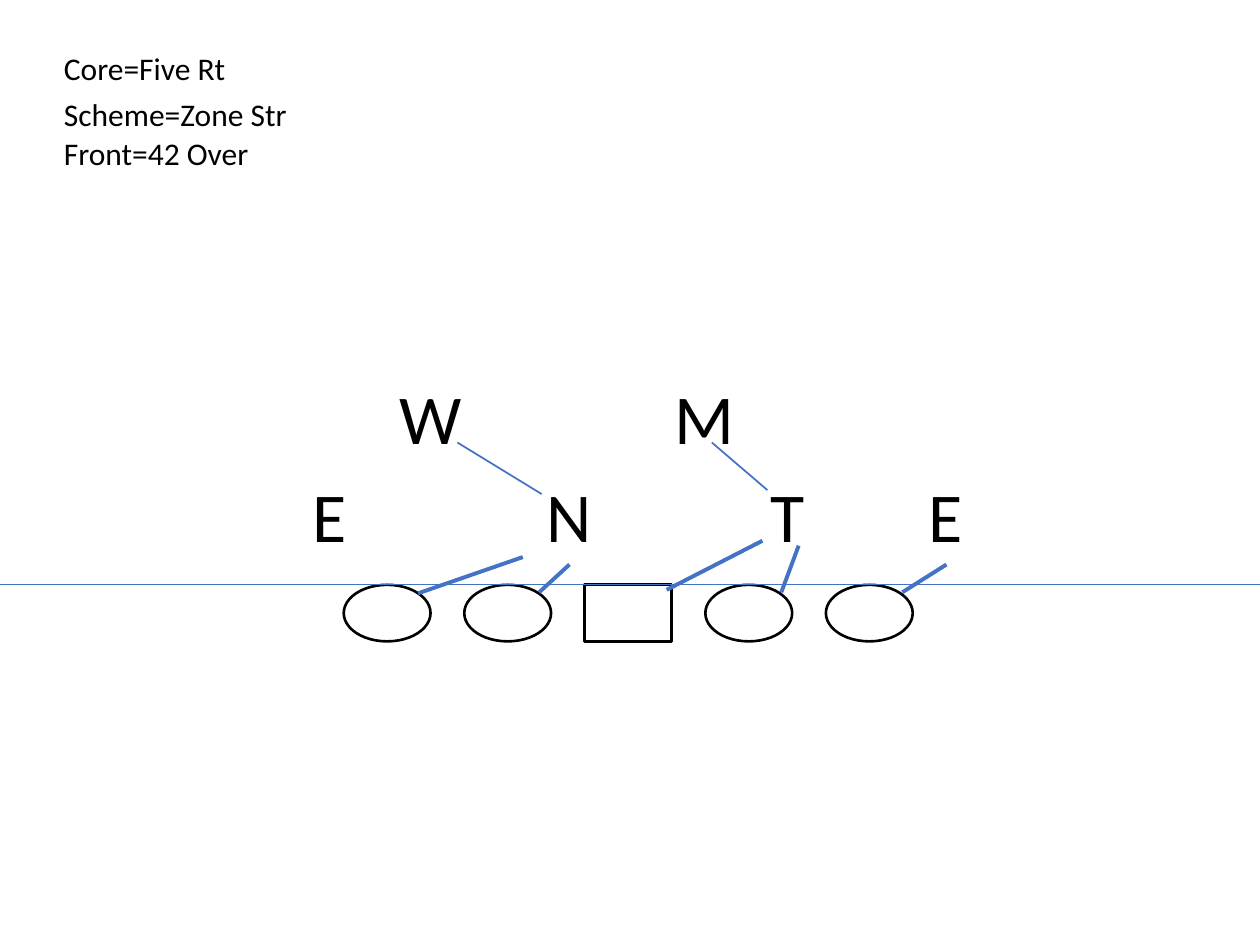
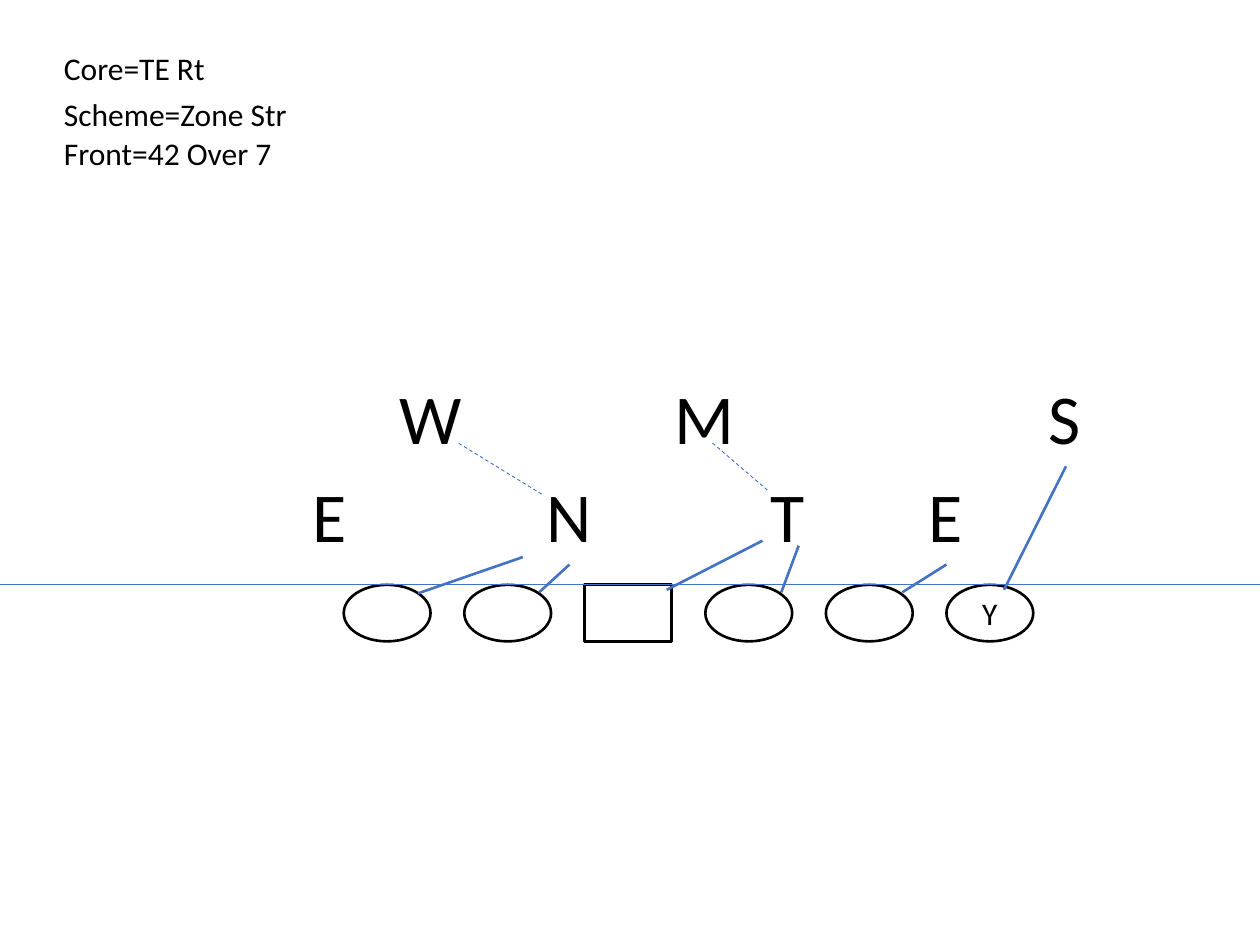
from dataclasses import dataclass

from lxml.etree import SubElement
from pptx import Presentation
from pptx.dml.color import RGBColor
from pptx.enum.dml import MSO_LINE
from pptx.enum.shapes import MSO_CONNECTOR, MSO_SHAPE
from pptx.enum.text import MSO_ANCHOR, MSO_AUTO_SIZE, PP_ALIGN
from pptx.oxml.ns import qn
from pptx.slide import Slide
from pptx.text.text import TextFrame
from pptx.util import Cm, Pt

COLOURS = {"ink": "000000", "paper": "FFFFFF", "path": "4472C4"}
FONT = "Calibri"
CAPTION_SIZE, DEFENDER_SIZE = 18, 40
SLIDE_WIDTH, SLIDE_HEIGHT = 25.4, 19.05

SCRIMMAGE_Y = 11.79
LINEMAN_WIDTH, LINEMAN_HEIGHT = 1.75, 1.14
LINEMAN_LEFT, LINEMAN_PITCH = 6.93, 2.43
CENTER_SPOT, TIGHT_END_SPOT = 2, 5
LINEBACKER_TOP, FRONT_TOP = 7.42, 9.4
CAPTION_TOPS = (0.86, 1.8, 2.57)


@dataclass(frozen=True)
class Caption:
    """One line of the play description and its box width in cm."""
    text: str
    width: float


@dataclass(frozen=True)
class Defender:
    """A defender's letter and the box that holds it, in cm."""
    letter: str
    left: float
    top: float
    width: float = 1.22


@dataclass(frozen=True)
class Route:
    """A straight assignment line between two points, in cm."""
    start: tuple[float, float]
    end: tuple[float, float]


@dataclass(frozen=True)
class Play:
    """Everything that differs from one play to the next."""
    captions: tuple[Caption, ...]
    block_weight: float
    read_weight: float
    read_dash: MSO_LINE | None = None
    tight_end: bool = False


DEFENDERS = (
    Defender("N", 10.77, FRONT_TOP, 1.42),
    Defender("T", 15.29, FRONT_TOP),
    Defender("E", 18.47, FRONT_TOP),
    Defender("E", 6.05, FRONT_TOP),
    Defender("W", 7.8, LINEBACKER_TOP, 1.78),
    Defender("M", 13.34, LINEBACKER_TOP, 1.78),
)
STRONG_DEFENDER = Defender("S", 20.88, LINEBACKER_TOP)

BLOCKS = (
    Route((8.43, 11.96), (10.54, 11.23)),
    Route((10.87, 11.94), (11.48, 11.38)),
    Route((13.44, 11.89), (15.37, 10.9)),
    Route((15.75, 11.94), (16.1, 11)),
    Route((18.19, 11.94), (19.08, 11.38)),
)
TIGHT_END_BLOCK = Route((20.24, 11.89), (21.49, 9.4))
READS = (
    Route((10.92, 9.96), (9.22, 8.92)),
    Route((15.47, 9.88), (14.35, 8.92)),
)
SCRIMMAGE = Route((0, SCRIMMAGE_Y), (SLIDE_WIDTH, SCRIMMAGE_Y))

SCHEME = Caption("Scheme=Zone Str", 5.05)
PLAYS = (
    Play((Caption("Core=Five Rt", 3.81), SCHEME, Caption("Front=42 Over", 4.27)),
         block_weight=2.25, read_weight=1),
    Play((Caption("Core=TE Rt", 3.38), SCHEME, Caption("Front=42 Over 7", 4.75)),
         block_weight=1.5, read_weight=0.5, read_dash=MSO_LINE.DASH, tight_end=True),
)


def colour(name: str) -> RGBColor:
    """Look up a named colour."""
    return RGBColor.from_string(COLOURS[name])


def add_run(frame: TextFrame, text: str, size: float) -> None:
    """Write one run into the first paragraph of a frame."""
    run = frame.paragraphs[0].add_run()
    run.text = text
    run.font.name = FONT
    run.font.size = Pt(size)
    run.font.color.rgb = colour("ink")


def add_label(slide: Slide, text: str, left: float, top: float,
              width: float, height: float, size: float) -> None:
    """Add an unwrapped text box that grows with its text."""
    frame = slide.shapes.add_textbox(Cm(left), Cm(top), Cm(width), Cm(height)).text_frame
    frame.word_wrap = False
    frame.auto_size = MSO_AUTO_SIZE.SHAPE_TO_FIT_TEXT
    add_run(frame, text, size)


def add_defender(slide: Slide, defender: Defender) -> None:
    """Add a defender's letter."""
    add_label(slide, defender.letter, defender.left, defender.top,
              defender.width, 1.96, DEFENDER_SIZE)


def add_lineman(slide: Slide, spot: int, letter: str = "") -> None:
    """Add the offensive player at a spot counted from the left."""
    outline = MSO_SHAPE.RECTANGLE if spot == CENTER_SPOT else MSO_SHAPE.OVAL
    lineman = slide.shapes.add_shape(
        outline, Cm(LINEMAN_LEFT + spot * LINEMAN_PITCH), Cm(SCRIMMAGE_Y),
        Cm(LINEMAN_WIDTH), Cm(LINEMAN_HEIGHT))
    lineman.shadow.inherit = False
    lineman.fill.solid()
    lineman.fill.fore_color.rgb = colour("paper")
    lineman.line.color.rgb = colour("ink")
    lineman.line.width = Pt(1.5)
    if letter:
        lineman.text_frame.vertical_anchor = MSO_ANCHOR.MIDDLE
        lineman.text_frame.paragraphs[0].alignment = PP_ALIGN.CENTER
        add_run(lineman.text_frame, letter, CAPTION_SIZE)


def add_route(slide: Slide, route: Route, weight: float,
              dash: MSO_LINE | None = None) -> None:
    """Add an assignment line without a shadow."""
    connector = slide.shapes.add_connector(
        MSO_CONNECTOR.STRAIGHT, *map(Cm, route.start), *map(Cm, route.end))
    connector.line.color.rgb = colour("path")
    connector.line.width = Pt(weight)
    if dash is not None:
        connector.line.dash_style = dash
    SubElement(connector._element.spPr, qn("a:effectLst"))


def draw_play(slide: Slide, play: Play) -> None:
    """Draw one play: captions, both teams and the assignments."""
    for caption, top in zip(play.captions, CAPTION_TOPS):
        add_label(slide, caption.text, 1.04, top, caption.width, 1.02, CAPTION_SIZE)
    for spot in range(TIGHT_END_SPOT):
        add_lineman(slide, spot)
    for defender in DEFENDERS:
        add_defender(slide, defender)
    for block in BLOCKS:
        add_route(slide, block, play.block_weight)
    for read in READS:
        add_route(slide, read, play.read_weight, play.read_dash)
    if play.tight_end:
        add_lineman(slide, TIGHT_END_SPOT, "Y")
        add_defender(slide, STRONG_DEFENDER)
        add_route(slide, TIGHT_END_BLOCK, play.block_weight)
    add_route(slide, SCRIMMAGE, 0.5)


def main() -> None:
    """Build the playbook."""
    playbook = Presentation()
    playbook.slide_width, playbook.slide_height = Cm(SLIDE_WIDTH), Cm(SLIDE_HEIGHT)
    blank = playbook.slide_layouts[6]
    for play in PLAYS:
        draw_play(playbook.slides.add_slide(blank), play)
    playbook.save("out.pptx")


main()
